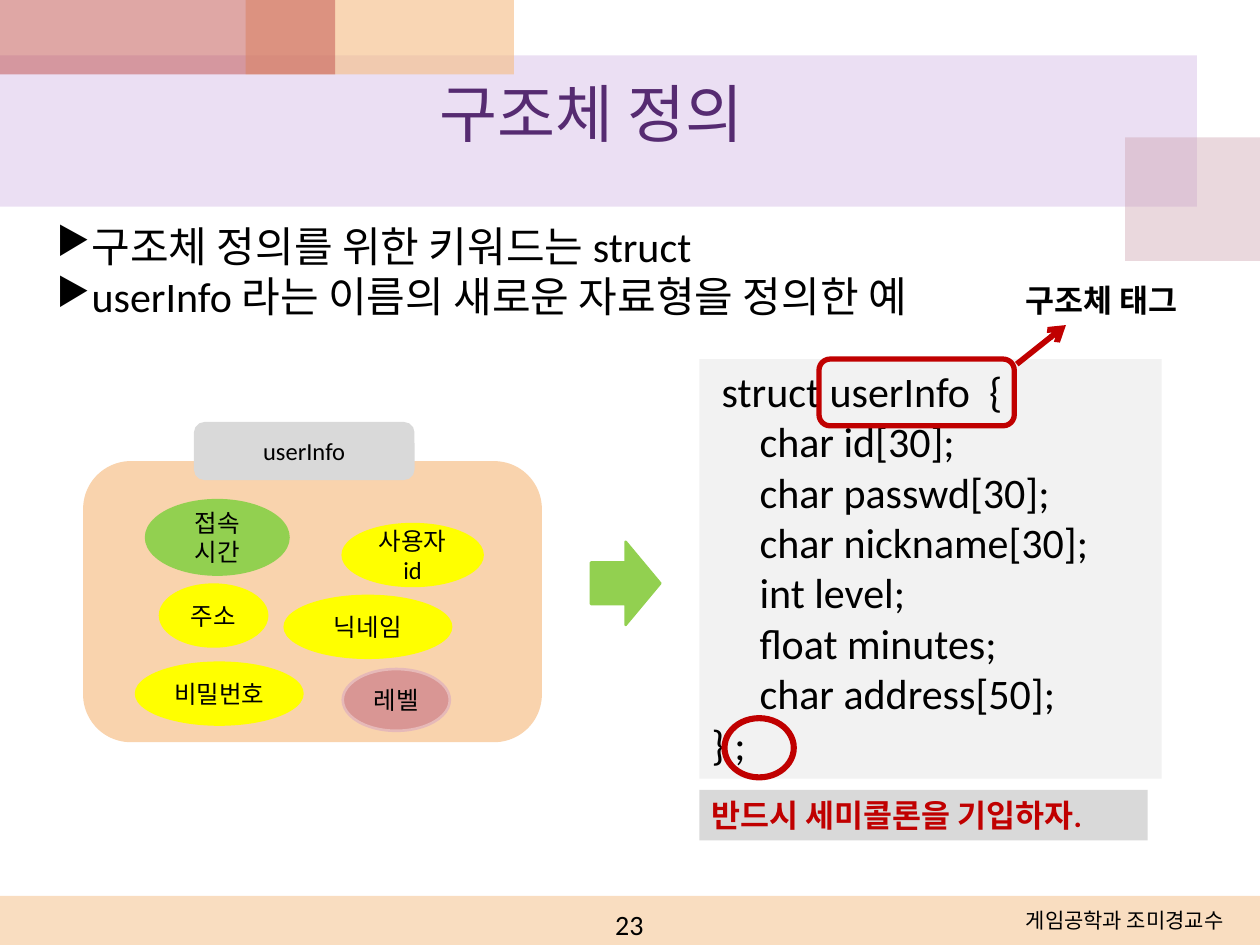
from dataclasses import dataclass
from typing import Any, Optional

import pptx
import pptx.dml.color
import pptx.enum.shapes
import pptx.enum.text
import pptx.oxml
import pptx.oxml.ns
import pptx.util

Inches = pptx.util.Inches
Pt = pptx.util.Pt
Kind = pptx.enum.shapes.MSO_SHAPE
Side = pptx.enum.text.PP_ALIGN
Mid = pptx.enum.text.MSO_ANCHOR.MIDDLE
Top = pptx.enum.text.MSO_ANCHOR.TOP
Box = tuple[float, float, float, float]
RED = "C00000"
GRAY = "D9D9D9"
GREEN = "92D050"
YELLOW = "FFFF00"


@dataclass
class Line:
    text: str
    inset: float = 0


@dataclass
class Style:
    size: float
    color: str = "000000"
    bold: bool = False
    align: Any = Side.LEFT
    anchor: Any = Top
    bullet: str = ""


@dataclass
class Form:
    box: Box
    fill: Optional[str] = None
    edge: Optional[str] = None
    width: float = 1.5
    kind: Any = Kind.RECTANGLE
    alpha: int = 100
    lines: tuple[str, ...] = ()


LABEL = Style(14, align=Side.CENTER, anchor=Mid)


def paint(target: Any, color: str) -> None:
    target.rgb = pptx.dml.color.RGBColor.from_string(color)


def node(owner: Any, tag: str, **attrs: str) -> Any:
    part = pptx.oxml.parse_xml(f"<a:{tag} {pptx.oxml.ns.nsdecls('a')}/>")
    for key, value in attrs.items():
        part.set(key, value)
    owner.append(part)
    return part


def write(shape: Any, lines: list[Line], style: Style) -> None:
    frame = shape.text_frame
    frame.word_wrap = True
    frame.vertical_anchor = style.anchor
    for index, line in enumerate(lines):
        para = frame.add_paragraph() if index else frame.paragraphs[0]
        para.alignment = style.align
        props = para._p.get_or_add_pPr()
        if line.inset:
            props.set("marL", str(Inches(line.inset)))
        if style.bullet:
            props.set("indent", str(-Inches(line.inset)))
            node(props, "buSzPct", val="90000")
            node(props, "buChar", char=style.bullet)
        run = para.add_run()
        run.text = line.text
        run.font.name = "Calibri"
        run.font.size = Pt(style.size)
        run.font.bold = style.bold
        paint(run.font.color, style.color)


def draw(owner: Any, form: Form, style: Style = LABEL) -> Any:
    shape = owner.add_shape(form.kind, *map(Inches, form.box))
    shape.shadow.inherit = False
    if form.fill:
        shape.fill.solid()
        paint(shape.fill.fore_color, form.fill)
        if form.alpha < 100:
            tint = shape._element.spPr.find(".//" + pptx.oxml.ns.qn("a:srgbClr"))
            node(tint, "alpha", val=str(form.alpha * 1000))
    else:
        shape.fill.background()
    if form.edge:
        paint(shape.line.color, form.edge)
        shape.line.width = Pt(form.width)
    else:
        shape.line.fill.background()
    if form.lines:
        write(shape, [Line(text) for text in form.lines], style)
    return shape


def place(owner: Any, box: Box, lines: list[Line], style: Style) -> None:
    write(owner.add_textbox(*map(Inches, box)), lines, style)


def point(owner: Any, start: tuple[float, float], end: tuple[float, float]) -> None:
    ends = map(Inches, start + end)
    arrow = owner.add_connector(pptx.enum.shapes.MSO_CONNECTOR.STRAIGHT, *ends)
    paint(arrow.line.color, RED)
    arrow.line.width = Pt(3.25)
    node(arrow.line._get_or_add_ln(), "tailEnd", type="arrow")
    node(arrow._element.spPr, "effectLst")


def oval(box: Box, *lines: str, fill: str = YELLOW, edge: str = YELLOW) -> Form:
    return Form(box, fill, edge, kind=Kind.OVAL, lines=lines)


BANDS = [
    Form((0, 0.44, 9.5, 1.2), "BF98D8", alpha=30),
    Form((8.93, 1.09, 1.07, 0.98), "CC9EAC", alpha=40),
    Form((1.95, 0, 2.13, 0.59), "F5BC83", alpha=60),
    Form((0, 0, 2.66, 0.59), "C0504D", alpha=50),
    Form((0, 7.11, 10, 0.39), "F5BC83", alpha=50),
]
FIELDS = [
    Form((0.67, 3.67, 3.62, 2.21), "F9D3AD", "F9D3AD", kind=Kind.ROUNDED_RECTANGLE),
    oval((2.72, 4.16, 1.11, 0.49), "사용자 id"),
    oval((1.08, 5.26, 1.32, 0.49), "비밀번호"),
    oval((2.26, 4.73, 1.32, 0.49), "닉네임"),
    oval((2.72, 5.31, 0.85, 0.49), "레벨", fill="D99694", edge="E6B9B8"),
    oval((1.16, 3.97, 1.13, 0.59), "접속", "시간", fill=GREEN, edge=GREEN),
    oval((1.27, 4.64, 0.85, 0.49), "주소"),
    Form((1.55, 3.36, 1.73, 0.44), GRAY, GRAY, kind=Kind.ROUNDED_RECTANGLE,
         lines=("userInfo",)),
]
MARKS = [
    Form((4.69, 4.3, 0.55, 0.66), GREEN, GREEN, kind=Kind.RIGHT_ARROW),
    Form((6.5, 2.85, 1.55, 0.53), edge=RED, width=3, kind=Kind.ROUNDED_RECTANGLE),
    Form((5.75, 5.7, 0.55, 0.47), edge=RED, width=3.5, kind=Kind.OVAL),
]
POINTS = ["구조체 정의를 위한 키워드는 struct", "userInfo 라는 이름의 새로운 자료형을 정의한 예"]
PARTS = ["char id[30];", "char passwd[30];", "char nickname[30];",
         "int level;", "float minutes;", "char address[50];"]


def main() -> None:
    deck = pptx.Presentation()
    deck.slide_width, deck.slide_height = Inches(10), Inches(7.5)
    page = deck.slides.add_slide(deck.slide_layouts[6]).shapes
    for band in BANDS:
        draw(page, band)
    place(page, (0.25, 0.46, 9, 0.87), [Line("구조체 정의 ")],
          Style(36, "562B71", align=Side.CENTER, anchor=Mid))
    place(page, (0.35, 1.7, 9.45, 0.95), [Line(text, 0.22) for text in POINTS],
          Style(24, bullet="▶"))
    panel = draw(page, Form((5.55, 2.85, 3.67, 3.33), "F2F2F2"))
    code = [Line("struct userInfo  {", 0.08), *(Line(part, 0.38) for part in PARTS), Line("} ;")]
    write(panel, code, Style(24))
    group = page.add_group_shape().shapes
    for field in FIELDS:
        draw(group, field)
    for mark in MARKS:
        draw(page, mark)
    point(page, (8.07, 2.89), (8.46, 2.58))
    place(page, (8.04, 2.18, 1.55, 0.4), [Line("구조체 태그")], Style(18, bold=True))
    draw(page, Form((5.55, 6.27, 3.56, 0.4), GRAY, lines=("반드시 세미콜론을 기입하자.",)),
         Style(18, RED, True))
    place(page, (6.64, 7.15, 3.17, 0.27), [Line("게임공학과 조미경교수")],
          Style(12, align=Side.RIGHT))
    place(page, (3.83, 7.15, 2.33, 0.27), [Line("23")], Style(16, align=Side.CENTER))
    deck.save("out.pptx")


if __name__ == "__main__":
    main()
